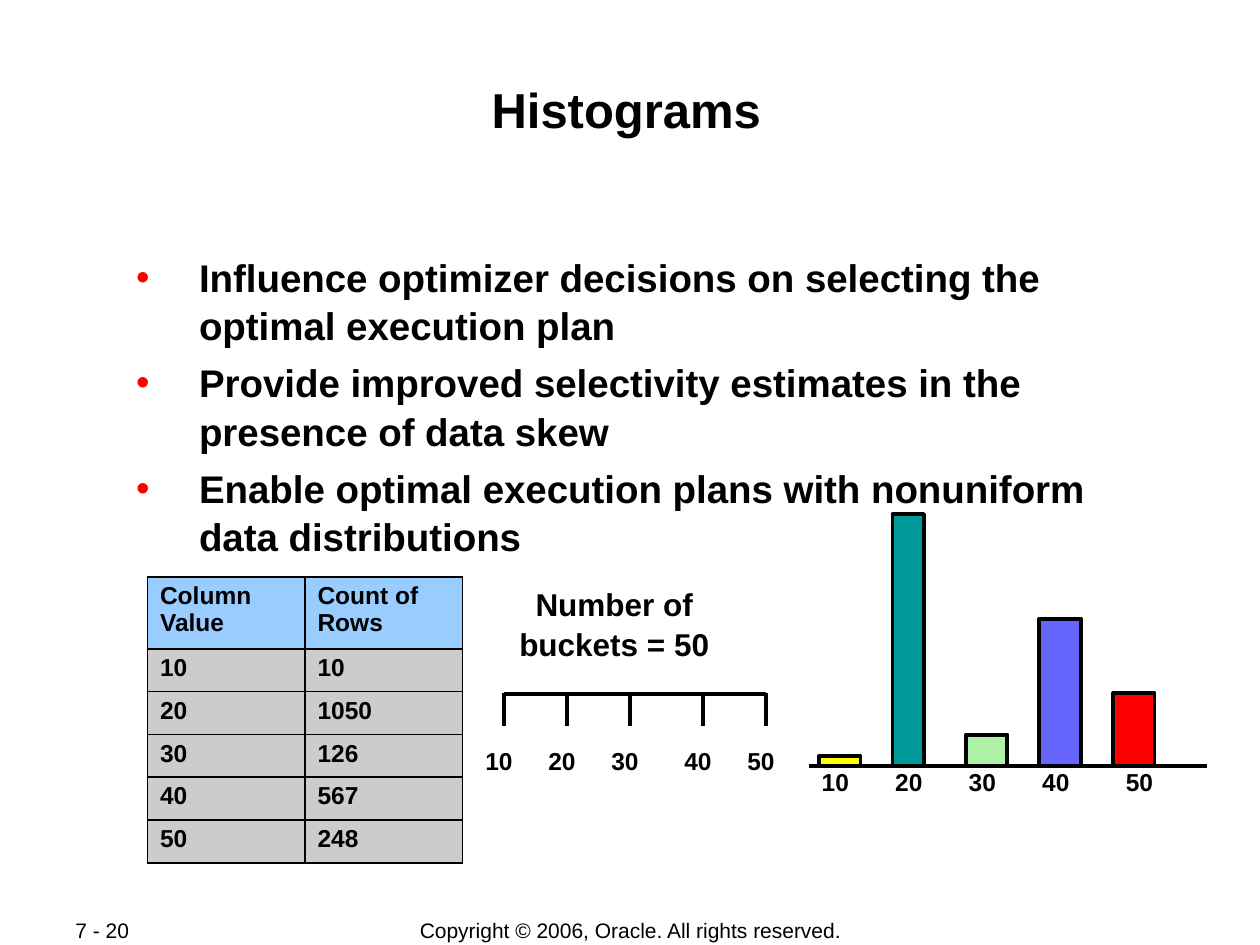
from lxml.etree import SubElement as Sub
from pptx import Presentation
from pptx.dml.color import RGBColor as RGB
from pptx.enum.shapes import MSO_CONNECTOR as CON, MSO_SHAPE as SHAPE
from pptx.enum.text import MSO_ANCHOR as ANCHOR, PP_ALIGN as ALIGN
from pptx.oxml.ns import qn
from pptx.util import Inches, Pt

HUE = {
    "ink": "000000", "dot": "FF0000", "head": "99CCFF", "cell": "CCCCCC",
    "gold": "FFFF00", "teal": "009999", "mint": "ADF2A6",
    "blue": "6666FF", "red": "FF0000",
}
ROWS = [
    ("Column Value", "Count of Rows"),
    ("10", "10"), ("20", "1050"), ("30", "126"), ("40", "567"), ("50", "248"),
]
KEYS = [row[0] for row in ROWS[1:]]
POINTS = [
    "Influence optimizer decisions on selecting the optimal execution plan",
    "Provide improved selectivity estimates in the presence of data skew",
    "Enable optimal execution plans with nonuniform data distributions",
]
TICKS = [0, 0.5, 1, 1.58, 2.08]
BARS = [
    ("gold", 0.33, 0.08, 0), ("teal", 0.25, 2, 0), ("mint", 0.33, 0.25, 0),
    ("blue", 0.33, 1.17, 0), ("red", 0.33, 0.58, 0.08),
]


def color(name):
    return RGB.from_string(HUE[name])


def style(para, size, bold=True, align=ALIGN.LEFT, space=1):
    para.alignment = align
    para.line_spacing = space
    font = para.font
    font.name, font.size, font.bold = "Arial", Pt(size), bold
    font.color.rgb = color("ink")


def write(shapes, box, lines, size, pad=(0.1, 0.05), anchor=ANCHOR.TOP, **look):
    frame = shapes.add_textbox(*map(Inches, box)).text_frame
    frame.word_wrap = True
    frame.vertical_anchor = anchor
    frame.margin_left = frame.margin_right = Inches(pad[0])
    frame.margin_top = frame.margin_bottom = Inches(pad[1])
    frame.text = "\n".join(lines)
    for para in frame.paragraphs:
        style(para, size, **look)
    return frame


def label(shapes, left, top, text):
    write(shapes, (left, top, 0.42, 0.34), [text], 14, pad=(0.05, 0.05),
          align=ALIGN.CENTER, space=1.04)


def rule(shapes, *ends):
    line = shapes.add_connector(CON.STRAIGHT, *map(Inches, ends))
    line.line.color.rgb = color("ink")
    line.line.width = Pt(2.25)
    Sub(line._element.spPr, qn("a:effectLst"))


def title(shapes, box):
    write(shapes, box, ["Histograms"], 28, align=ALIGN.CENTER)


def body(shapes, box):
    frame = write(shapes, box, POINTS, 22, pad=(0.01, 0.01), space=1.04)
    for i, para in enumerate(frame.paragraphs):
        if i:
            para.space_before = Pt(5.5)
        props = para._p.get_or_add_pPr()
        props.set("marL", str(Inches(0.63)))
        props.set("indent", str(Inches(-0.5)))
        mark = Sub(props, qn("a:buClr"))
        Sub(mark, qn("a:srgbClr"), val=HUE["dot"])
        font = Sub(props, qn("a:buFont"), typeface="Arial")
        char = Sub(props, qn("a:buChar"), char="•")
        last = props.find(qn("a:defRPr"))
        for item in (mark, font, char):
            last.addprevious(item)


def edge(cell):
    props = cell._tc.get_or_add_tcPr()
    for i, side in enumerate(("lnL", "lnR", "lnT", "lnB")):
        line = Sub(props, qn(f"a:{side}"), w=str(Pt(1.08)))
        fill = Sub(line, qn("a:solidFill"))
        Sub(fill, qn("a:srgbClr"), val=HUE["ink"])
        props.insert(i, line)


def counts(shapes, box):
    table = shapes.add_table(len(ROWS), 2, *map(Inches, box)).table
    table.horz_banding = False
    for col in table.columns:
        col.width = Inches(box[2] / 2)
    for i, row in enumerate(ROWS):
        table.rows[i].height = Inches(0.34 if i else 0.57)
        for j, text in enumerate(row):
            cell = table.cell(i, j)
            cell.text = text
            cell.fill.solid()
            cell.fill.fore_color.rgb = color("cell" if i else "head")
            cell.margin_left = cell.margin_right = Inches(0.1)
            cell.margin_top = cell.margin_bottom = Inches(0.05)
            style(cell.text_frame.paragraphs[0], 14, space=0.97)
            edge(cell)


def buckets(shapes, box):
    left, top, width, height = box
    write(shapes, (left, top, 1.75, 0.7), ["Number of buckets = 50"], 18,
          align=ALIGN.CENTER, space=1.05)
    group = shapes.add_group_shape().shapes
    base = top + 0.93
    rule(group, left, base, left + width, base)
    for key, tick in zip(KEYS, TICKS):
        spot = left + tick
        rule(group, spot, base - 0.01, spot, base + 0.25)
        label(group, spot - 0.25, top + height - 0.34, key)


def bars(shapes, box):
    left, top, width, height = box
    group = shapes.add_group_shape().shapes
    base = top + 2
    step = 7 / 12
    rule(group, left, base, left + width, base)
    for i, (hue, wide, tall, shift) in enumerate(BARS):
        spot = left + i * step
        bar = group.add_shape(SHAPE.RECTANGLE, *map(
            Inches, (spot + 0.08, base - tall, wide, tall)))
        bar.shadow.inherit = False
        bar.fill.solid()
        bar.fill.fore_color.rgb = color(hue)
        bar.line.color.rgb = color("ink")
        bar.line.width = Pt(2.25)
        label(group, spot + shift, top + height - 0.34, KEYS[i])


def footer(shapes, box):
    left, top, width, height = box
    write(shapes, (left, top, 1.06, height), ["7 - 20"], 12,
          anchor=ANCHOR.MIDDLE, bold=False)
    write(shapes, (left + 2.26, top, width - 2.26, height),
          ["Copyright © 2006, Oracle. All rights reserved."], 12,
          anchor=ANCHOR.MIDDLE, bold=False, align=ALIGN.CENTER)


def main():
    deck = Presentation()
    deck.slide_width, deck.slide_height = Inches(10), Inches(7.5)
    shapes = deck.slides.add_slide(deck.slide_layouts[6]).shapes
    footer(shapes, (0.5, 7.28, 6.75, 0.2))
    title(shapes, (0.97, 0.58, 8, 0.96))
    body(shapes, (0.94, 1.99, 8.06, 2.38))
    counts(shapes, (1.17, 4.58, 2.5, 2.27))
    buckets(shapes, (4, 4.58, 2.08, 1.62))
    bars(shapes, (6.42, 4.08, 3.16, 2.29))
    deck.save("out.pptx")


if __name__ == "__main__":
    main()
